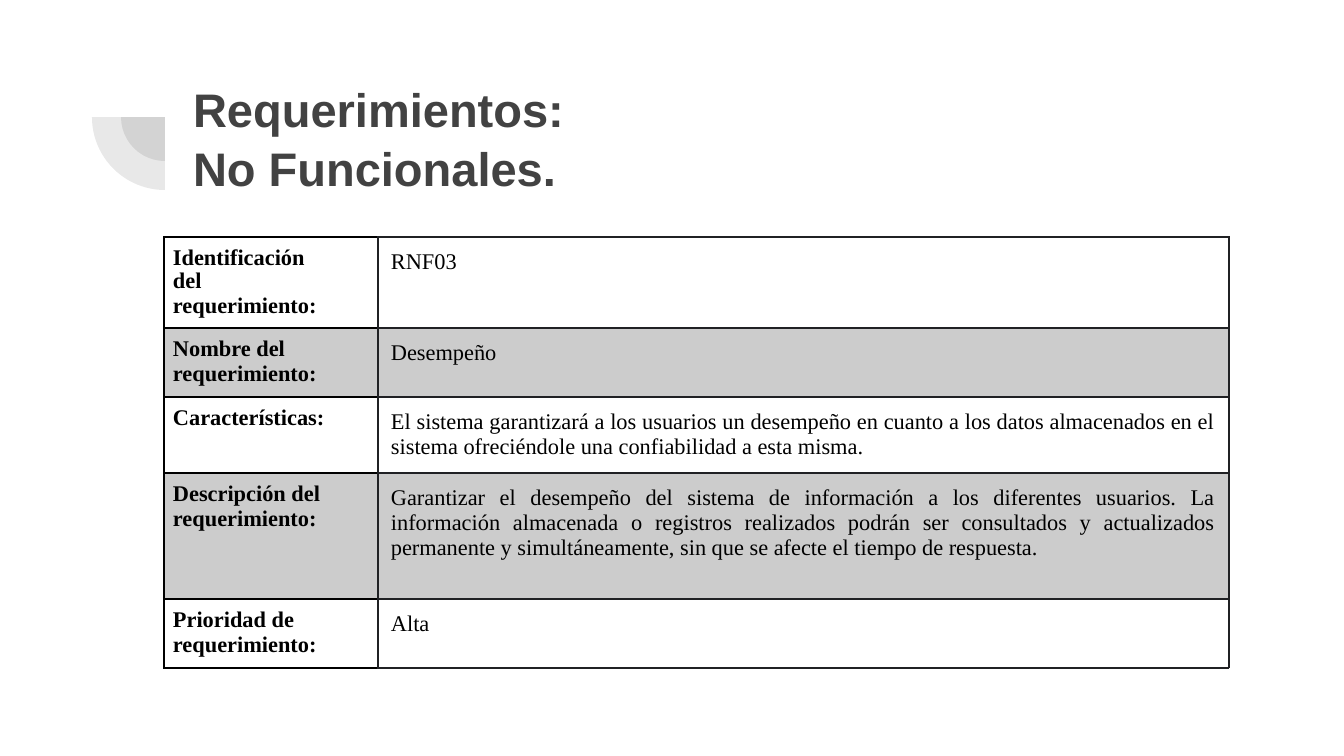
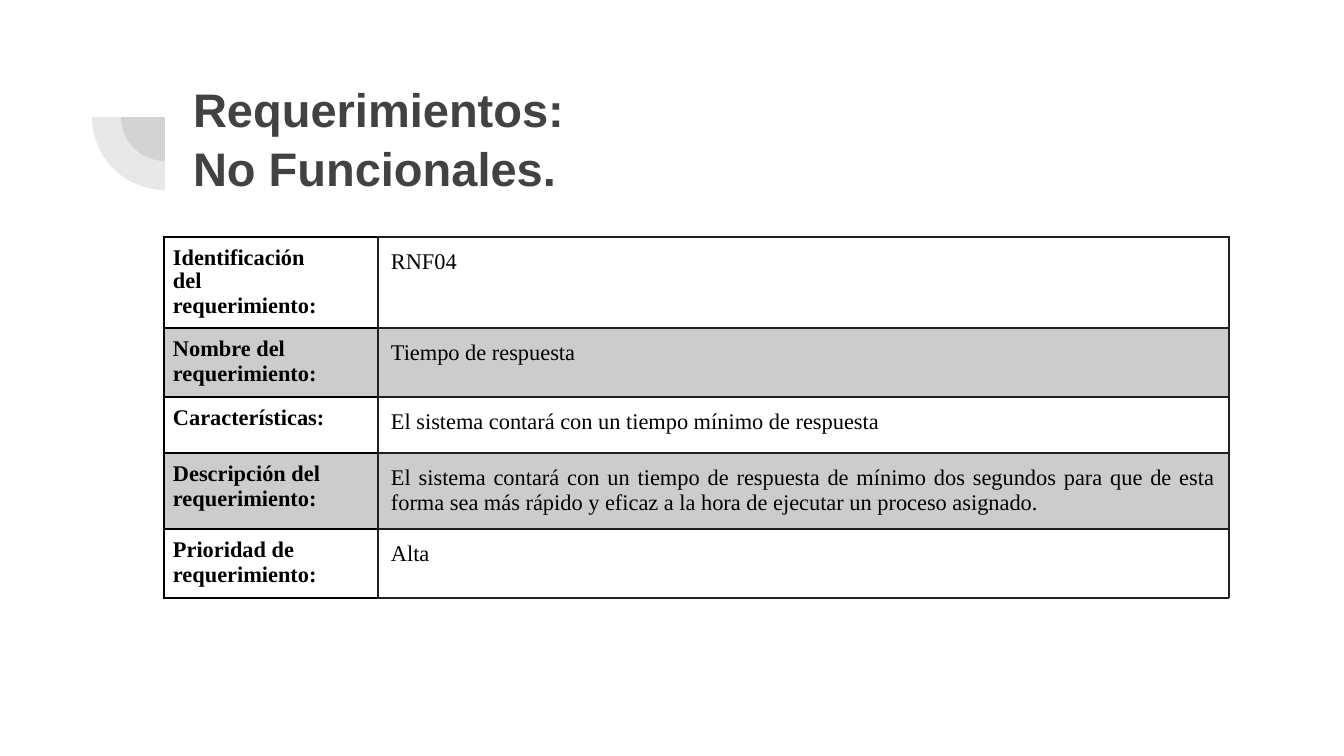
from dataclasses import dataclass

from lxml import etree
from pptx import Presentation
from pptx import util as u
from pptx.dml.color import RGBColor
from pptx.enum import shapes, text
from pptx.oxml.ns import qn

# Content
TITLE = ("Requerimientos:", "No Funcionales.")
LABELS = (
    ("Identificación del", "requerimiento:"),
    ("Nombre del", "requerimiento:"),
    ("Características:",),
    ("Descripción del requerimiento:",),
    ("Prioridad de", "requerimiento:"),
)
JUSTIFIED_ROWS = (2, 3)
REQUIREMENTS = [
    {
        "values": (
            "RNF03",
            "Desempeño",
            "El sistema garantizará a los usuarios un desempeño en cuanto a los "
            "datos almacenados en el sistema ofreciéndole una confiabilidad a "
            "esta misma.",
            "Garantizar el desempeño del sistema de información a los diferentes "
            "usuarios. La información almacenada o registros realizados podrán "
            "ser consultados y actualizados permanente y simultáneamente, sin "
            "que se afecte el tiempo de respuesta.",
            "Alta",
        ),
        "heights": (91, 69, 76, 126, 69),
    },
    {
        "values": (
            "RNF04",
            "Tiempo de respuesta",
            "El sistema contará con un tiempo mínimo de respuesta",
            "El sistema contará con un tiempo de respuesta de mínimo dos segundos "
            "para que de esta forma sea más rápido y eficaz a la hora de ejecutar "
            "un proceso asignado.",
            "Alta",
        ),
        "heights": (91, 69, 56, 76, 69),
    },
]


@dataclass(frozen=True)
class Theme:
    heading: str = "424242"
    ink: str = "000000"
    rule: str = "202124"
    band: str = "CCCCCC"
    title_font: str = "Arial"
    table_font: str = "Times New Roman"
    title_size: float = 25.2
    table_size: float = 12
    arc_opacity: int = 12


THEME = Theme()

# Layout, in px
SLIDE_SIZE = (1344, 756)
TITLE_BOX = (180, 63, 1034, 147)
ARC_CENTRE = (165, 117)
ARC_RADII = (44, 73)
TABLE_ORIGIN = (164, 237)
COLUMNS = (214, 851)
LABEL_INSET, VALUE_INSET = 9, 13
LABEL_INDENT = 40


def px(length):
    return u.Emu(round(length * 914400 / 134.4))


def style(paragraph, font, size, color, bold):
    paragraph.font.name = font
    paragraph.font.size = u.Pt(size)
    paragraph.font.bold = bold
    paragraph.font.color.rgb = RGBColor.from_string(color)


def set_insets(holder, inset):
    holder.margin_left = holder.margin_right = px(inset)
    holder.margin_top = holder.margin_bottom = px(inset)


def add_arcs(slide):
    """Two translucent quarter discs that share one centre."""
    x, y = ARC_CENTRE
    for radius in ARC_RADII:
        arc = slide.shapes.add_shape(
            shapes.MSO_SHAPE.PIE,
            *map(px, (x - radius, y - radius, 2 * radius, 2 * radius)))
        arc.adjustments[0], arc.adjustments[1] = 108, 162
        arc.rotation = 270
        arc.shadow.inherit = False
        arc.line.fill.background()
        arc.fill.solid()
        arc.fill.fore_color.rgb = RGBColor.from_string(THEME.heading)
        color = arc.fill._xPr.find(".//" + qn("a:srgbClr"))
        etree.SubElement(color, qn("a:alpha"), val=str(THEME.arc_opacity * 1000))


def fill_title(slide):
    title = slide.shapes.title
    title.left, title.top, title.width, title.height = map(px, TITLE_BOX)
    frame = title.text_frame
    frame.text = "\n".join(TITLE)
    frame.word_wrap = True
    frame.auto_size = text.MSO_AUTO_SIZE.NONE
    frame.vertical_anchor = text.MSO_ANCHOR.MIDDLE
    set_insets(frame, VALUE_INSET)
    for line in frame.paragraphs:
        line.alignment = text.PP_ALIGN.LEFT
        line.line_spacing = 1.05
        style(line, THEME.title_font, THEME.title_size, THEME.heading, True)


def set_borders(cell, borders):
    properties = cell._tc.get_or_add_tcPr()
    for side, (color, width) in zip("LRTB", borders):
        edge = etree.SubElement(properties, qn(f"a:ln{side}"), w=str(u.Pt(width)))
        solid = etree.SubElement(edge, qn("a:solidFill"))
        etree.SubElement(solid, qn("a:srgbClr"), val=color)


def fill_cell(cell, content, inset, bold, banded, borders):
    cell.text = content
    cell.vertical_anchor = text.MSO_ANCHOR.TOP
    set_insets(cell, inset)
    for paragraph in cell.text_frame.paragraphs:
        style(paragraph, THEME.table_font, THEME.table_size, THEME.ink, bold)
    set_borders(cell, borders)
    if banded:
        cell.fill.solid()
        cell.fill.fore_color.rgb = RGBColor.from_string(THEME.band)
    else:
        cell.fill.background()


def add_requirement(slide, values, heights):
    table = slide.shapes.add_table(
        len(LABELS), len(COLUMNS),
        *map(px, (*TABLE_ORIGIN, sum(COLUMNS), sum(heights)))).table
    table.first_row = table.horz_banding = False
    for column, width in zip(table.columns, COLUMNS):
        column.width = px(width)

    # Borders run left, right, top, bottom
    dark, divider, thin = (THEME.ink, 1), (THEME.rule, 1), (THEME.rule, 0.75)
    for row, (label, value, height) in enumerate(zip(LABELS, values, heights)):
        table.rows[row].height = px(height)
        label_cell, value_cell = table.cell(row, 0), table.cell(row, 1)
        banded = row % 2 == 1
        fill_cell(label_cell, "\n".join(label), LABEL_INSET, True, banded,
                  (dark, divider, dark, dark))
        fill_cell(value_cell, value, VALUE_INSET, False, banded,
                  (divider, thin, thin, thin))
        for line in label_cell.text_frame.paragraphs:
            line._p.get_or_add_pPr().set("marR", str(px(LABEL_INDENT)))
        if row in JUSTIFIED_ROWS:
            value_cell.text_frame.paragraphs[0].alignment = text.PP_ALIGN.JUSTIFY
    table.cell(0, 0).text_frame.paragraphs[0].line_spacing = 0.96


def main():
    deck = Presentation()
    deck.slide_width, deck.slide_height = map(px, SLIDE_SIZE)
    title_only = deck.slide_layouts[5]
    for requirement in REQUIREMENTS:
        slide = deck.slides.add_slide(title_only)
        add_arcs(slide)
        fill_title(slide)
        add_requirement(slide, **requirement)
    deck.save("out.pptx")


if __name__ == "__main__":
    main()
